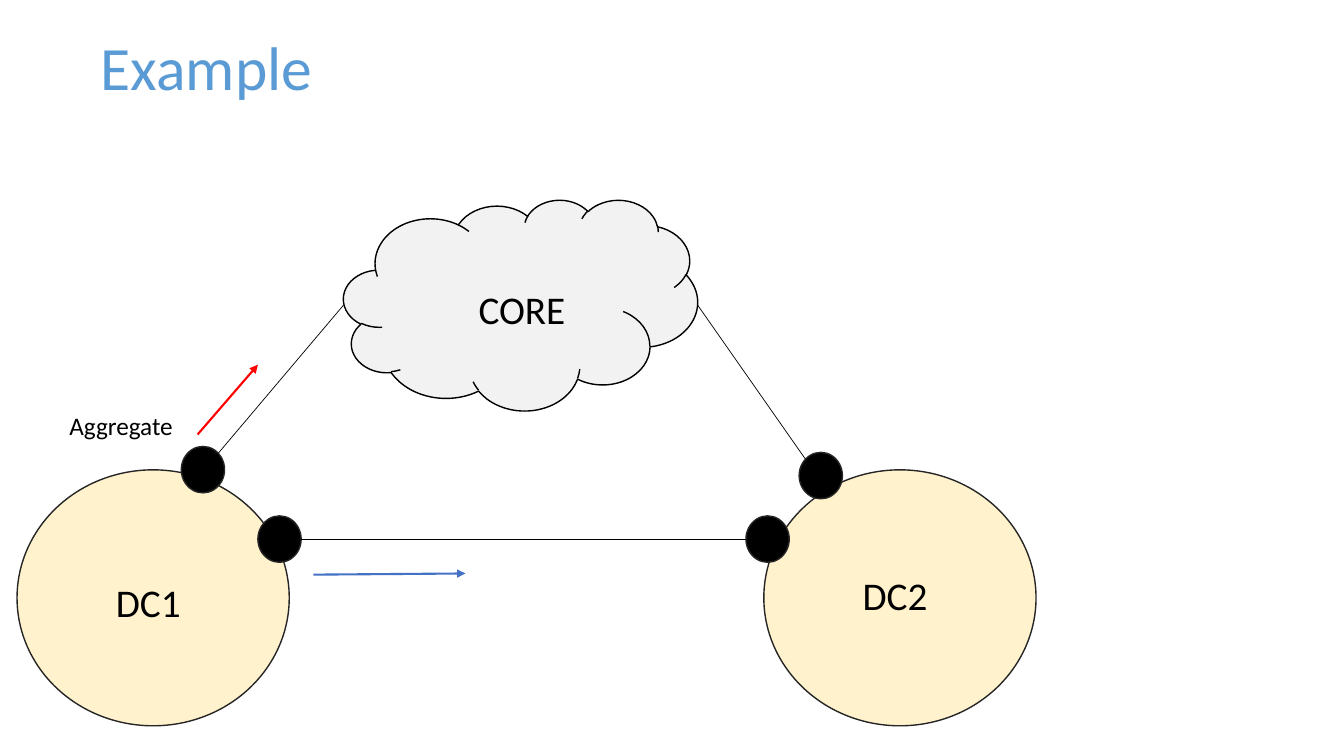
from collections import namedtuple
from dataclasses import dataclass
from math import sqrt

from lxml.etree import SubElement
from pptx import Presentation
from pptx.dml.color import RGBColor
from pptx.enum.shapes import MSO_CONNECTOR as Connector, MSO_SHAPE as Shape
from pptx.enum.text import MSO_ANCHOR as Anchor
from pptx.oxml.ns import qn
from pptx.util import Cm, Pt

Box = namedtuple("Box", "left top width height")  # centimetres


@dataclass(frozen=True)
class Theme:
    font: str = "Calibri"
    title: str = "5B9BD5"
    ink: str = "000000"
    outline: str = "262626"
    site: str = "FFF2CC"
    core: str = "F2F2F2"
    aggregate: str = "FF0000"
    direct: str = "4472C4"
    title_size: int = 44
    label_size: int = 28
    note_size: int = 18


THEME = Theme()


def add_label(slide, box, wording, size, color=THEME.ink, spacing=0.9,
              anchor=Anchor.TOP, wrap=True):
    frame = slide.shapes.add_textbox(*map(Cm, box)).text_frame
    frame.word_wrap = wrap
    frame.vertical_anchor = anchor
    line = frame.paragraphs[0]
    line.line_spacing = spacing
    run = line.add_run()
    run.text = wording
    run.font.name = THEME.font
    run.font.size = Pt(size)
    run.font.color.rgb = RGBColor.from_string(color)


def add_body(slide, preset, box, fill, outline):
    body = slide.shapes.add_shape(preset, *map(Cm, box))
    body.shadow.inherit = False
    body.fill.solid()
    body.fill.fore_color.rgb = RGBColor.from_string(fill)
    body.line.color.rgb = RGBColor.from_string(outline)
    body.line.width = Pt(1)


def add_link(slide, start, end, color=THEME.ink, width=0.5, arrow=False):
    link = slide.shapes.add_connector(Connector.STRAIGHT, *map(Cm, (*start, *end)))
    link.line.color.rgb = RGBColor.from_string(color)
    link.line.width = Pt(width)
    if arrow:
        SubElement(link.line._get_or_add_ln(), qn("a:tailEnd"), type="triangle")
    SubElement(link._element.spPr, qn("a:effectLst"))


def rim(box, across, down):
    """Point on an ellipse's edge in the direction (across, down)."""
    reach = sqrt(across ** 2 + down ** 2)
    return (box.left + box.width / 2 * (1 + across / reach),
            box.top + box.height / 2 * (1 + down / reach))


# Data centre: circle, name and two border nodes; returns the node boxes
def draw_site(slide, box, name, name_drop, node_offsets):
    add_body(slide, Shape.OVAL, box, THEME.site, THEME.outline)
    nodes = [Box(box.left + dx, box.top + dy, 1.09, 1.17) for dx, dy in node_offsets]
    for node in nodes:
        add_body(slide, Shape.OVAL, node, THEME.ink, THEME.outline)
    name_box = Box(box.left + 2.24, box.top + name_drop, 2.36, 1.68)
    add_label(slide, name_box, name, THEME.label_size)
    return nodes


# Core network cloud
def draw_core(slide, box):
    add_body(slide, Shape.CLOUD, box, THEME.core, THEME.ink)
    name_box = Box(box.left + 3.15, box.top + 2.16, 2.79, 1.68)
    add_label(slide, name_box, "CORE", THEME.label_size)


# Whole network: core, two sites, links and traffic arrows
def draw_network(slide, box):
    x, y = box.left, box.top
    core = Box(x + 8.23, y, 8.92, 5.31)
    west = Box(x, y + 6.81, 6.86, 6.45)
    east = west._replace(left=x + 18.82)

    draw_core(slide, core)
    west_upper, west_lower = draw_site(
        slide, west, "DC1", 2.74, [(4.14, -0.59), (6.07, 1.16)])
    east_upper, east_lower = draw_site(
        slide, east, "DC2", 2.56, [(0.89, -0.44), (-0.45, 1.16)])

    # Links
    add_link(slide, rim(west_lower, 1, 0), rim(east_lower, -1, 0))
    add_link(slide, rim(west_upper, 1, -1), rim(core, -1, 0))
    add_link(slide, rim(east_upper, -1, -1), rim(core, 1, 0))

    # Traffic directions
    add_label(slide, Box(x + 1.07, y + 5.18, 3.15, 1.02), "Aggregate",
              THEME.note_size, spacing=1.0, wrap=False)
    add_link(slide, (x + 4.55, y + 5.92), (x + 6.07, y + 4.16),
             THEME.aggregate, 1.5, arrow=True)
    add_link(slide, (x + 7.47, y + 9.45), (x + 11.3, y + 9.42),
             THEME.direct, 1.5, arrow=True)


def draw_title(slide, box):
    add_label(slide, box, "Example", THEME.title_size, THEME.title,
              anchor=Anchor.MIDDLE)


def main():
    deck = Presentation()
    deck.slide_width, deck.slide_height = Cm(33.87), Cm(19.05)
    slide = deck.slides.add_slide(deck.slide_layouts[6])
    draw_title(slide, Box(2.29, -0.05, 29.21, 3.68))
    draw_network(slide, Box(0.43, 5.03, 25.68, 13.26))
    deck.save("out.pptx")


if __name__ == "__main__":
    main()
